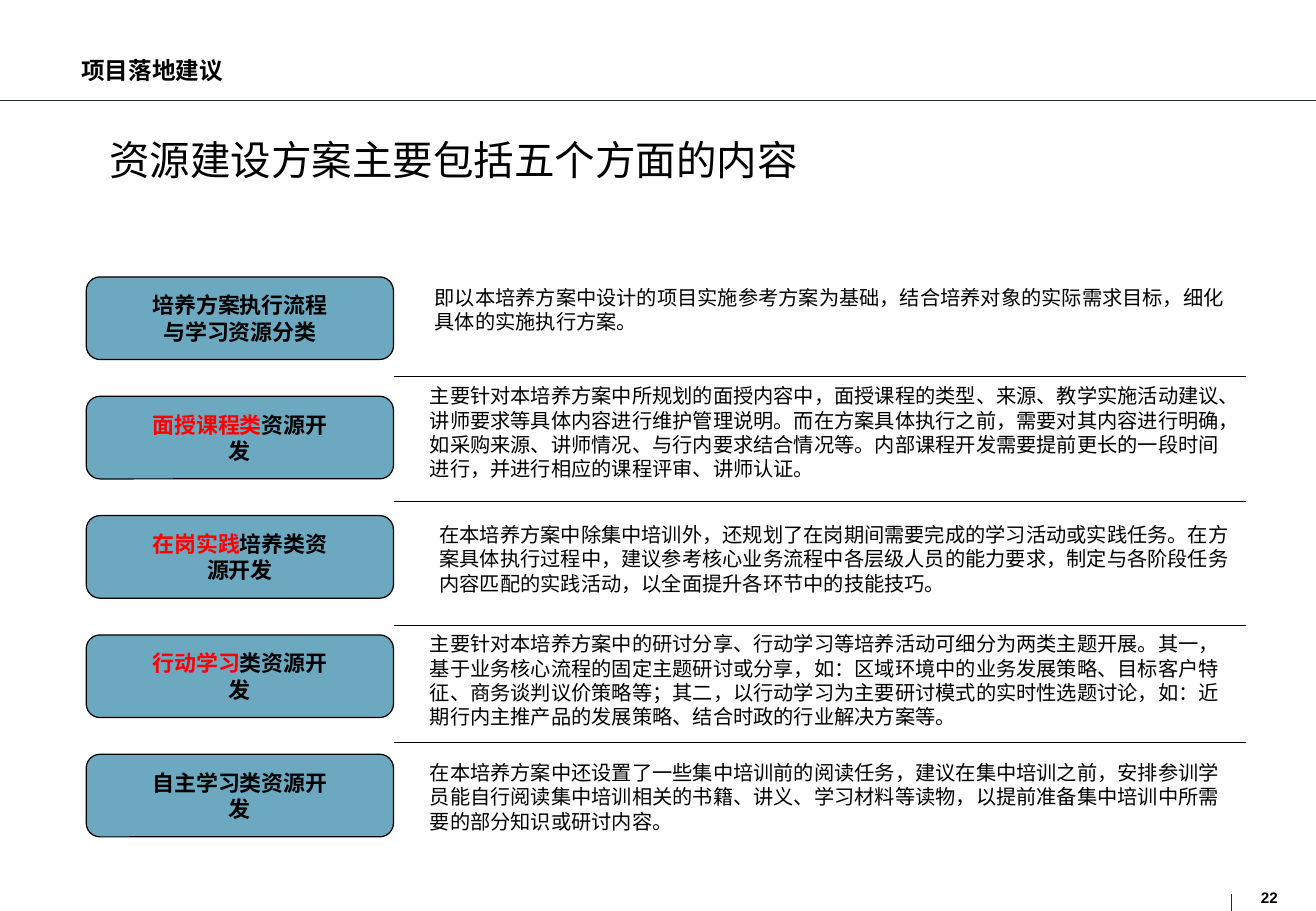
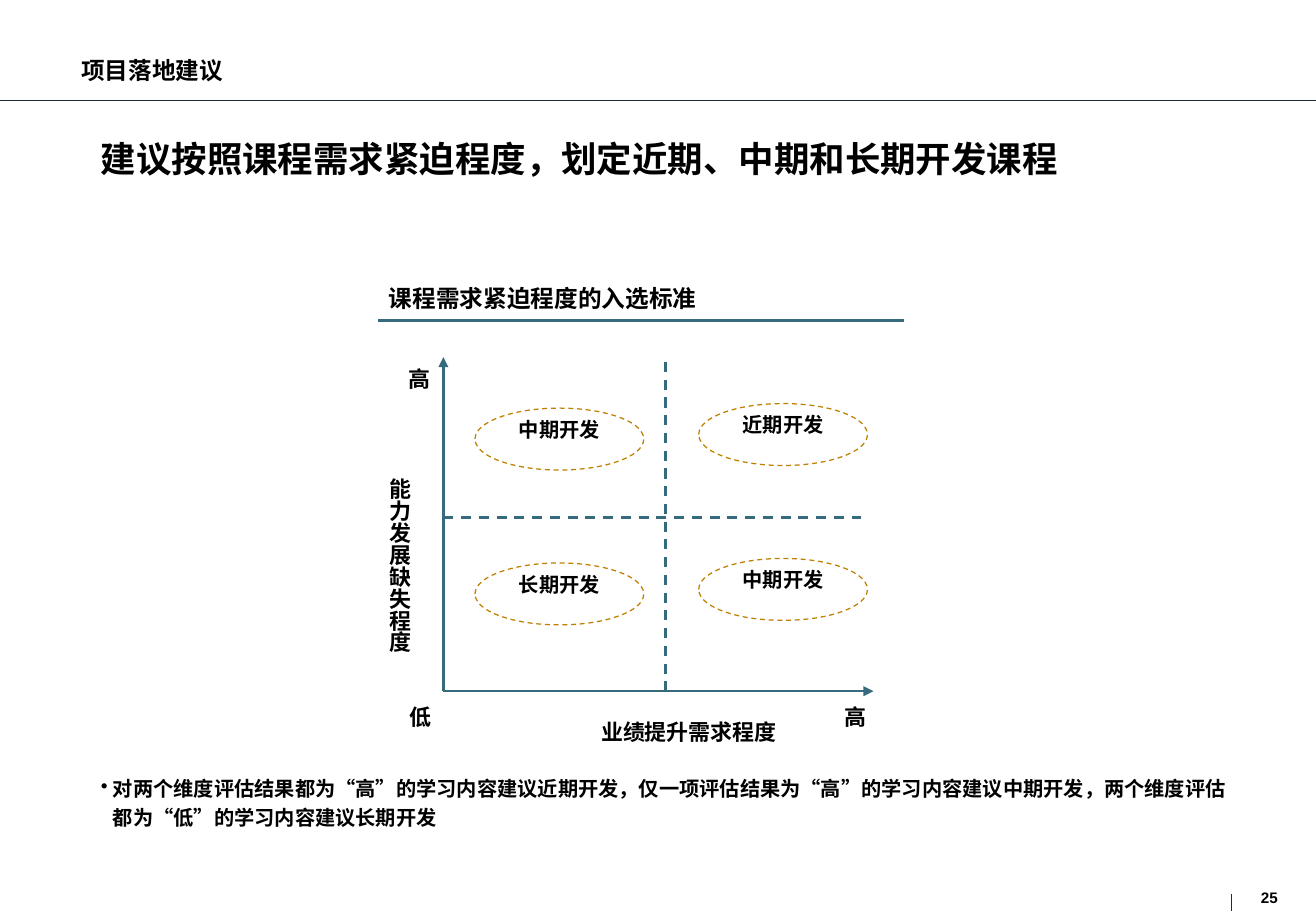
import pptx
import pptx.util
import pptx.dml.color
import pptx.enum.dml
import pptx.enum.lang
import pptx.enum.shapes
import pptx.enum.text
import pptx.oxml.ns
from lxml import etree

SHAPE = pptx.enum.shapes.MSO_SHAPE
ALIGN = pptx.enum.text.PP_ALIGN
ANCHOR = pptx.enum.text.MSO_ANCHOR
qn = pptx.oxml.ns.qn

# Shared look
WIDTH, HEIGHT = 10.83, 7.5
BLACK, WHITE, RED = "000000", "FFFFFF", "FF0000"
RULE, TEAL, BLUE, OCHRE = "172F37", "366B7E", "6CA9C0", "BF8000"
LATIN, CJK = "Arial", "Noto Sans CJK SC"
LEADING = 1.2  # line pitch as a multiple of the text size
INSET = (0.1, 0.05)

# Five rows of the resource plan: highlighted words, other words,
# then left and top (% of the slide), font and text of the description
ROW_TOP, ROW_PITCH = 30.4, 13.1
COL_EDGE, RIGHT_EDGE = 29.91, 94.71
DIVIDERS = (41.33, 55.07, 68.67, 81.47)
RESOURCES = [
    ("", "培养方案执行流程与学习资源分类", 32.12, 30.67, LATIN,
     "即以本培养方案中设计的项目实施参考方案为基础，结合培养对象的实际需求目标，"
     "细化具体的实施执行方案。"),
    ("面授课程类", "资源开发", 31.75, 41.47, CJK,
     "主要针对本培养方案中所规划的面授内容中，面授课程的类型、来源、教学实施活动建议、"
     "讲师要求等具体内容进行维护管理说明。而在方案具体执行之前，需要对其内容进行明确，"
     "如采购来源、讲师情况、与行内要求结合情况等。内部课程开发需要提前更长的一段时间进行，"
     "并进行相应的课程评审、讲师认证。"),
    ("在岗实践", "培养类资源开发", 32.49, 56.67, CJK,
     "在本培养方案中除集中培训外，还规划了在岗期间需要完成的学习活动或实践任务。"
     "在方案具体执行过程中，建议参考核心业务流程中各层级人员的能力要求，"
     "制定与各阶段任务内容匹配的实践活动，以全面提升各环节中的技能技巧。"),
    ("行动学习", "类资源开发", 31.75, 68.67, CJK,
     "主要针对本培养方案中的研讨分享、行动学习等培养活动可细分为两类主题开展。其一，"
     "基于业务核心流程的固定主题研讨或分享，如：区域环境中的业务发展策略、目标客户特征、"
     "商务谈判议价策略等；其二，以行动学习为主要研讨模式的实时性选题讨论，"
     "如：近期行内主推产品的发展策略、结合时政的行业解决方案等。"),
    ("", "自主学习类资源开发", 31.75, 82.8, CJK,
     "在本培养方案中还设置了一些集中培训前的阅读任务，建议在集中培训之前，"
     "安排参训学员能自行阅读集中培训相关的书籍、讲义、学习材料等读物，"
     "以提前准备集中培训中所需要的部分知识或研讨内容。"),
]

# Urgency matrix
ORIGIN = (33.69, 75.87)
STAGES = [["中期开发", "近期开发"], ["长期开发", "中期开发"]]
STAGE_STEP, STAGE_RISE = 17, 0.5


def color(value):
    return pptx.dml.color.RGBColor.from_string(value)


def px(share):
    """Length from a percentage of the slide's width."""
    return pptx.util.Inches(WIDTH * share / 100)


def py(share):
    """Length from a percentage of the slide's height."""
    return pptx.util.Inches(HEIGHT * share / 100)


def box(left, top, width, height):
    return px(left), py(top), px(width), py(height)


def write(sp, text, size=12, bold=False, font=LATIN, align=ALIGN.LEFT,
          anchor=ANCHOR.TOP, inset=INSET, wrap=True, spacing=1.0,
          vertical=False, bullet=None):
    """Text is a string, or a list of (words, colour) pairs."""
    tf = sp.text_frame
    tf.word_wrap = wrap
    tf.vertical_anchor = anchor
    tf.margin_left = tf.margin_right = pptx.util.Inches(inset[0])
    tf.margin_top = tf.margin_bottom = pptx.util.Inches(inset[1])
    if vertical:
        tf._txBody.bodyPr.set("vert", "eaVert")
    p = tf.paragraphs[0]
    p.alignment = align
    p.line_spacing = pptx.util.Pt(round(size * LEADING * spacing, 1))
    if bullet:
        pPr = p._p.get_or_add_pPr()
        indent = pptx.util.Inches(0.1)
        pPr.set("marL", str(indent))
        pPr.set("indent", str(-indent))
        etree.SubElement(pPr, qn("a:buChar")).set("char", bullet)
    parts = [(text, BLACK)] if isinstance(text, str) else text
    for words, ink in parts:
        r = p.add_run()
        r.text = words
        r.font.size = pptx.util.Pt(size)
        r.font.bold = bold
        r.font.name = font
        r.font.color.rgb = color(ink)
        r.font.language_id = pptx.enum.lang.MSO_LANGUAGE_ID.SIMPLIFIED_CHINESE
        latin = r._r.rPr.find(qn("a:latin"))
        ea = etree.Element(qn("a:ea"))
        ea.set("typeface", CJK)
        latin.addnext(ea)


def add_text(s, at, text, **fmt):
    write(s.shapes.add_textbox(*box(*at)), text, **fmt)


def set_line(line, ink, width, dashed):
    line.color.rgb = color(ink)
    line.width = pptx.util.Pt(width)
    if dashed:
        line.dash_style = pptx.enum.dml.MSO_LINE.DASH


def add_shape(s, kind, at, fill, ink, dashed=False):
    sp = s.shapes.add_shape(kind, *box(*at))
    sp.shadow.inherit = False
    sp.fill.solid()
    sp.fill.fore_color.rgb = color(fill)
    set_line(sp.line, ink, 0.75, dashed)
    return sp


def add_line(s, start, end, ink=BLACK, width=0.75, dashed=False, arrow=False):
    cn = s.shapes.add_connector(
        pptx.enum.shapes.MSO_CONNECTOR.STRAIGHT,
        px(start[0]), py(start[1]), px(end[0]), py(end[1]))
    set_line(cn.line, ink, width, dashed)
    if arrow:
        ln = cn.line._get_or_add_ln()
        etree.SubElement(ln, qn("a:tailEnd")).set("type", "triangle")
    etree.SubElement(cn._element.spPr, qn("a:effectLst"))


def add_page(prs, number):
    """Blank slide with the shared header and footer."""
    s = prs.slides.add_slide(prs.slide_layouts[6])
    add_line(s, (0, 11.07), (100, 11.07), ink=RULE)
    add_line(s, (93.6, 98.13), (93.6, 100), ink=RULE)
    add_text(s, (95.82, 97.47, 1.6, 1.87), number, size=9, bold=True,
             inset=(0, 0))
    add_text(s, (5.26, 5.6, 25.3, 4.27), "项目落地建议", size=14, bold=True,
             font=CJK, anchor=ANCHOR.MIDDLE)
    return s


def add_title(s, at, text, **fmt):
    add_text(s, at, text, font=CJK, spacing=0.93, **fmt)


def resource_slide(prs):
    s = add_page(prs, "22")
    add_title(s, (7.38, 14.53, 86.22, 9.6), "资源建设方案主要包括五个方面的内容",
              size=24)
    for i, (key, rest, left, top, font, detail) in enumerate(RESOURCES):
        y = ROW_TOP + i * ROW_PITCH
        add_shape(s, SHAPE.ROUNDED_RECTANGLE, (6.55, y, 23.35, 9.07),
                  BLUE, BLACK)
        label = [(key, RED), (rest, BLACK)] if key else rest
        add_text(s, (10.34, y + 1, 15.78, 7.2), label, size=13, bold=True,
                 align=ALIGN.CENTER)
        add_text(s, (left, top, RIGHT_EDGE - left, 9.47), detail, font=font)
    for y in DIVIDERS:
        add_line(s, (COL_EDGE, y), (RIGHT_EDGE, y))


def matrix_slide(prs):
    s = add_page(prs, "25")
    flush = {"bold": True, "inset": (0, 0)}
    add_title(s, (7.66, 15.33, 84.55, 9.6),
              "建议按照课程需求紧迫程度，划定近期、中期和长期开发课程",
              size=21, **flush)

    # Heading of the matrix
    add_text(s, (29.54, 31.2, 41.6, 3.2), "课程需求紧迫程度的入选标准",
             size=14, **flush)
    add_line(s, (28.71, 35.2), (68.68, 35.2), ink=TEAL, width=1.75)

    # Axes and dashed midlines
    x0, y0 = ORIGIN
    for end in ((66.37, y0), (x0, 39.2)):
        add_line(s, ORIGIN, end, ink=TEAL, width=1.5, arrow=True)
    for start, end in (((x0, 56.8), (65.45, 56.8)),
                       ((50.58, 39.73), (50.58, y0))):
        add_line(s, start, end, ink=TEAL, width=1.5, dashed=True)

    # Axis names and ends
    for left, top, width, text in ((45.69, 78.93, 13.48, "业绩提升需求程度"),
                                   (31.11, 77.2, 1.7, "低"),
                                   (64.15, 77.2, 1.7, "高"),
                                   (31.02, 40.13, 1.7, "高")):
        add_text(s, (left, top, width, 2.93), text, size=13, wrap=False,
                 **flush)
    add_text(s, (29.35, 52.53, 2.03, 19.47), "能力发展缺失程度", size=13,
             wrap=False, vertical=True, **flush)

    # Development stages
    for row, stages in enumerate(STAGES):
        for col, stage in enumerate(stages):
            at = (36.09 + col * STAGE_STEP,
                  44.8 + row * STAGE_STEP - col * STAGE_RISE, 12.83, 6.8)
            sp = add_shape(s, SHAPE.OVAL, at, WHITE, OCHRE, dashed=True)
            write(sp, stage, align=ALIGN.CENTER, **flush)

    # Conclusion
    add_text(s, (7.66, 84.67, 86.5, 6.13),
             "对两个维度评估结果都为“高”的学习内容建议近期开发，"
             "仅一项评估结果为“高”的学习内容建议中期开发，"
             "两个维度评估都为“低”的学习内容建议长期开发",
             spacing=1.2, bullet="•", **flush)


def main():
    prs = pptx.Presentation()
    prs.slide_width = pptx.util.Inches(WIDTH)
    prs.slide_height = pptx.util.Inches(HEIGHT)
    resource_slide(prs)
    matrix_slide(prs)
    prs.save("out.pptx")


if __name__ == "__main__":
    main()
